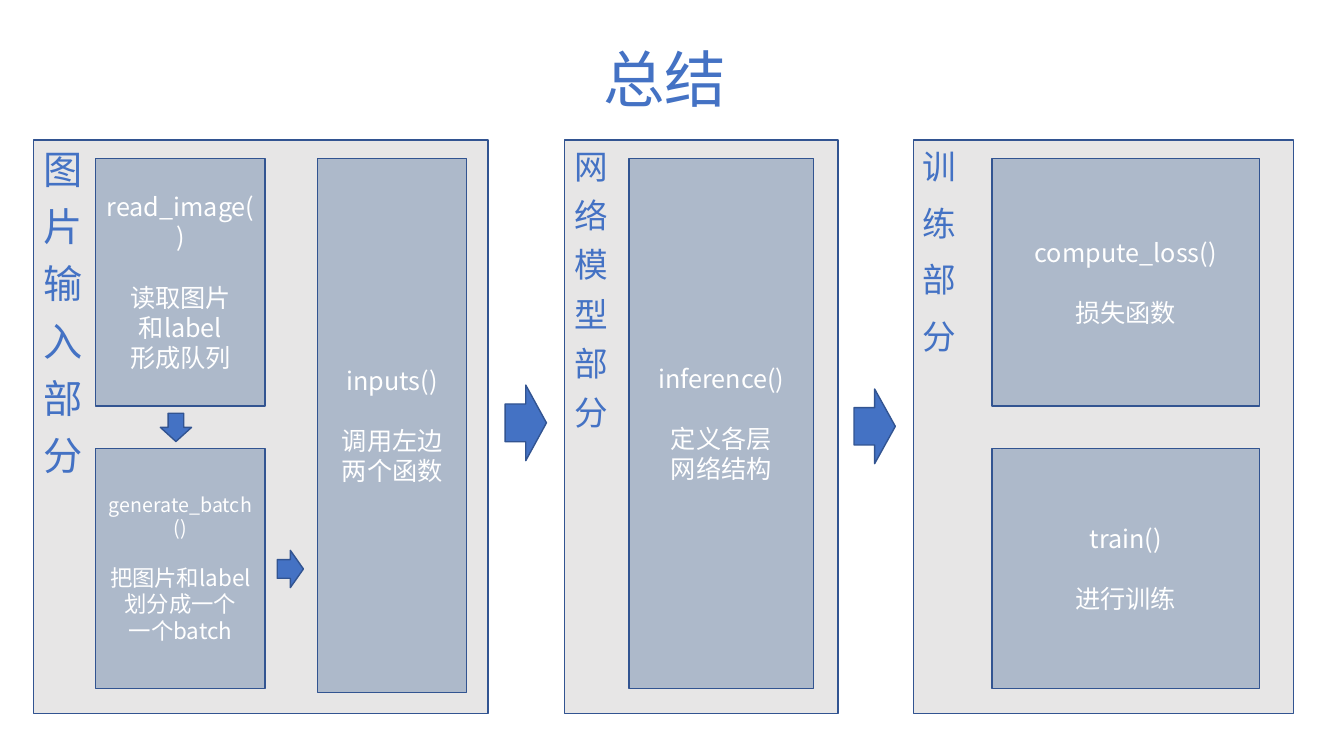
from lxml import etree
from pptx import Presentation
from pptx import util as u
from pptx.dml import color
from pptx.enum import shapes, text
from pptx.oxml import ns

TITLE = "总结"
PANELS = [
    {"name": "图片输入部分", "left": 0.33, "width": 4.51, "size": 28, "gap": 12.9},
    {"name": "网络模型部分", "left": 5.6, "width": 2.71, "size": 24, "gap": 11.1},
    {"name": "训练部分", "left": 9.06, "width": 3.77, "size": 24, "gap": 16.4},
]
CARDS = [
    ("inputs()", ["调用左边", "两个函数"], 3.15, 1.48, "tall", "norm"),
    ("read_image()", ["读取图片", "和label", "形成队列"], 0.95, 1.68, "top", "norm"),
    ("generate_batch()", ["把图片和label划分成一个", "一个batch"], 0.95, 1.68, "low", "small"),
    ("inference()", ["定义各层", "网络结构"], 6.24, 1.83, "full", "norm"),
    ("compute_loss()", ["损失函数"], 9.84, 2.65, "top", "norm"),
    ("train()", ["进行训练"], 9.84, 2.65, "low", "norm"),
]
ARROWS = [
    ("down", 1.59, 4.1, 0.31, 0.28),
    ("right", 2.75, 5.46, 0.26, 0.37),
    ("right", 5.01, 3.82, 0.41, 0.75),
    ("right", 8.47, 3.86, 0.41, 0.74),
]
ROWS = {"tall": (1.57, 5.3), "full": (1.57, 5.26), "top": (1.57, 2.46), "low": (4.45, 2.38)}
PANEL_TOP, PANEL_HIGH = 1.39, 5.69
THEME = {
    "font": "Noto Sans CJK SC",
    "blue": "4472C4", "edge": "325491", "panel": "E7E6E6", "card": "ADB9CA", "white": "FFFFFF",
    "title": 44,
    "norm": (18, 18, 21.5),
    "small": (14, 16, 17),
}
KINDS = {
    "rect": shapes.MSO_SHAPE.RECTANGLE,
    "down": shapes.MSO_SHAPE.DOWN_ARROW,
    "right": shapes.MSO_SHAPE.RIGHT_ARROW,
}


def paint(name):
    return color.RGBColor.from_string(THEME[name])


def draw(slide, kind, box, fill):
    shape = slide.shapes.add_shape(KINDS[kind], *map(u.Inches, box))
    shape.shadow.inherit = False
    shape.fill.solid()
    shape.fill.fore_color.rgb = paint(fill)
    shape.line.color.rgb = paint("edge")
    shape.line.width = u.Pt(1)
    return shape


def style(para, size, tint, align=text.PP_ALIGN.CENTER, gap=0):
    para.alignment = align
    for run in para.runs:
        run.font.size = u.Pt(size)
        run.font.name = THEME["font"]
        run.font.color.rgb = paint(tint)
        props = run._r.get_or_add_rPr()
        etree.SubElement(props, ns.qn("a:ea"), typeface=THEME["font"])
        if gap:
            props.set("spc", str(round(gap * 100)))


def head(slide):
    box = slide.shapes.add_textbox(*map(u.Inches, (5.25, 0.4, 2.69, 0.84)))
    frame = box.text_frame
    frame.word_wrap = True
    frame.vertical_anchor = text.MSO_ANCHOR.MIDDLE
    frame.text = TITLE
    frame.paragraphs[0].line_spacing = 0.9
    style(frame.paragraphs[0], THEME["title"], "blue")


def panel(slide, item):
    box = item["left"], PANEL_TOP, item["width"], PANEL_HIGH
    frame = draw(slide, "rect", box, "panel").text_frame
    frame.text = item["name"]
    frame.vertical_anchor = text.MSO_ANCHOR.BOTTOM
    frame._txBody.bodyPr.set("vert", "eaVert")
    style(frame.paragraphs[0], item["size"], "blue", text.PP_ALIGN.LEFT, item["gap"])


def card(slide, name, lines, left, width, row, scale):
    top, high = ROWS[row]
    big, size, gap = THEME[scale]
    frame = draw(slide, "rect", (left, top, width, high), "card").text_frame
    frame.word_wrap = True
    frame.vertical_anchor = text.MSO_ANCHOR.MIDDLE
    frame.text = "\n".join([name, *lines])
    for rank, para in enumerate(frame.paragraphs):
        style(para, size if rank else big, "white")
    frame.paragraphs[0].space_after = u.Pt(gap)


def main():
    deck = Presentation()
    deck.slide_width, deck.slide_height = u.Inches(13.33), u.Inches(7.5)
    slide = deck.slides.add_slide(deck.slide_layouts[6])
    head(slide)
    for item in PANELS:
        panel(slide, item)
    for item in CARDS:
        card(slide, *item)
    for kind, *box in ARROWS:
        draw(slide, kind, box, "blue")
    deck.save("out.pptx")


if __name__ == "__main__":
    main()
